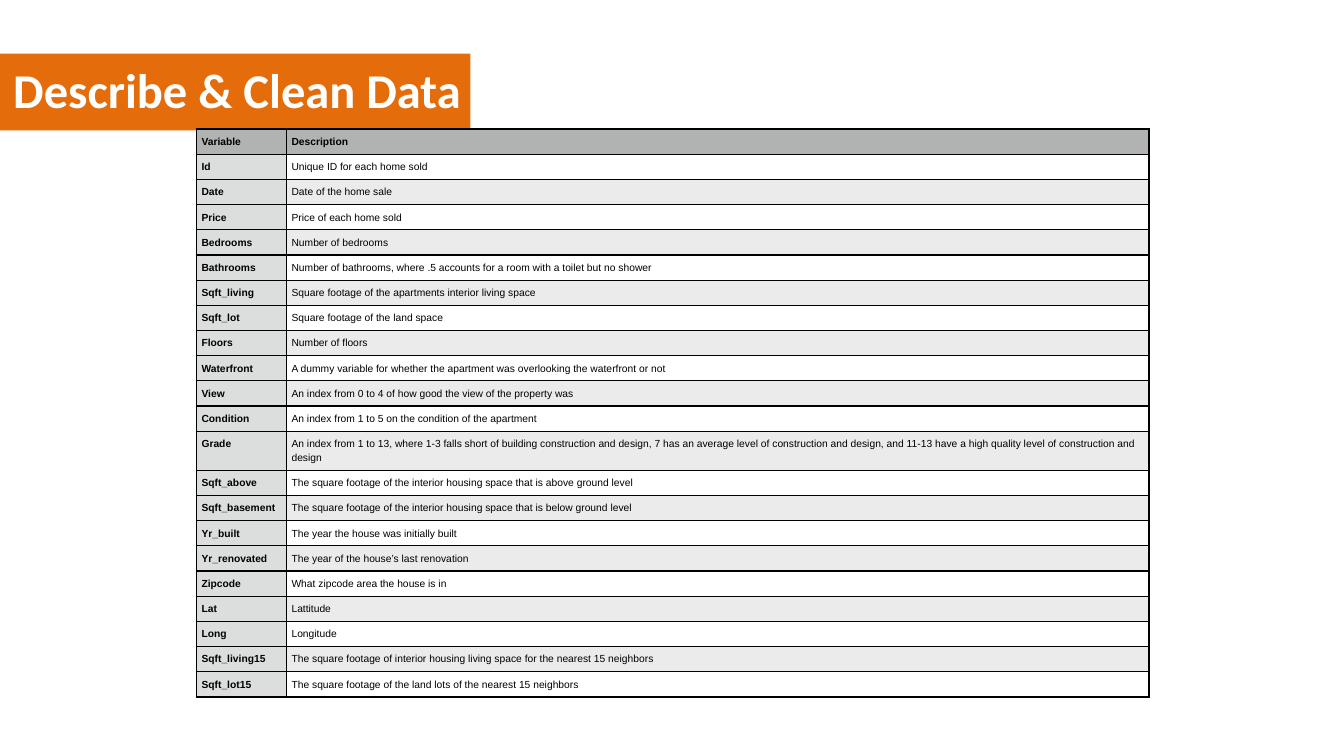
"""Build the slide that describes the variables of the housing data."""
import pptx
import pptx.dml.color
import pptx.enum.shapes
import pptx.enum.text
import pptx.oxml
import pptx.oxml.ns
import pptx.util

Inches, Pt = pptx.util.Inches, pptx.util.Pt

TITLE = "Describe & Clean Data"
ROWS = [
    ("Variable", "Description"),
    ("Id", "Unique ID for each home sold"),
    ("Date", "Date of the home sale"),
    ("Price", "Price of each home sold"),
    ("Bedrooms", "Number of bedrooms"),
    ("Bathrooms", "Number of bathrooms, where .5 accounts for a room with a toilet but no shower"),
    ("Sqft_living", "Square footage of the apartments interior living space"),
    ("Sqft_lot", "Square footage of the land space"),
    ("Floors", "Number of floors"),
    ("Waterfront", "A dummy variable for whether the apartment was overlooking the waterfront or not"),
    ("View", "An index from 0 to 4 of how good the view of the property was"),
    ("Condition", "An index from 1 to 5 on the condition of the apartment"),
    ("Grade", "An index from 1 to 13, where 1-3 falls short of building construction and design, "
              "7 has an average level of construction and design, and 11-13 have a high quality "
              "level of construction and design"),
    ("Sqft_above", "The square footage of the interior housing space that is above ground level"),
    ("Sqft_basement", "The square footage of the interior housing space that is below ground level"),
    ("Yr_built", "The year the house was initially built"),
    ("Yr_renovated", "The year of the house’s last renovation"),
    ("Zipcode", "What zipcode area the house is in"),
    ("Lat", "Lattitude"),
    ("Long", "Longitude"),
    ("Sqft_living15", "The square footage of interior housing living space for the nearest 15 neighbors"),
    ("Sqft_lot15", "The square footage of the land lots of the nearest 15 neighbors"),
]
COLUMNS = (0.67, 6.42)
LEFT, TOP, HEIGHT = 1.46, 0.96, 4.22
TALL_ROW, TALL_HEIGHT = "Grade", 0.28
ROW_HEIGHT = (HEIGHT - TALL_HEIGHT) / (len(ROWS) - 1)
HEADER, NAME, BAND, PLAIN = "B0B3B2", "DCDEDD", "EBEBEB", "FFFFFF"


def rgb(value):
    return pptx.dml.color.RGBColor.from_string(value)


def style(run, font, size, color, bold):
    run.font.name, run.font.size, run.font.bold = font, Pt(size), bold
    run.font.color.rgb = rgb(color)


def add_borders(cell, color="000000", width=0.75):
    for side in ("lnL", "lnR", "lnT", "lnB"):
        cell._tc.get_or_add_tcPr().append(pptx.oxml.parse_xml(
            f'<a:{side} {pptx.oxml.ns.nsdecls("a")} w="{Pt(width)}">'
            f'<a:solidFill><a:srgbClr val="{color}"/></a:solidFill></a:{side}>'))


def fill_cell(cell, row, column):
    if row == 0:
        color = HEADER
    elif column == 0:
        color = NAME
    else:
        color = PLAIN if row % 2 else BAND
    if color == PLAIN:
        cell.fill.background()
    else:
        cell.fill.solid()
        cell.fill.fore_color.rgb = rgb(color)


def add_title(s):
    bar = s.shapes.add_shape(pptx.enum.shapes.MSO_SHAPE.RECTANGLE,
                             0, Inches(0.4), Inches(3.5), Inches(0.57))
    bar.shadow.inherit = False
    bar.fill.solid()
    bar.fill.fore_color.rgb = rgb("E46C0A")
    bar.line.fill.background()
    tf = s.shapes.add_textbox(0, Inches(0.4), Inches(4.88), Inches(0.57)).text_frame
    tf.word_wrap = True
    tf.vertical_anchor = pptx.enum.text.MSO_ANCHOR.TOP
    tf.text = TITLE
    style(tf.paragraphs[0].runs[0], "Calibri", 26, "FFFFFF", True)


def add_variables(s):
    table = s.shapes.add_table(len(ROWS), len(COLUMNS), Inches(LEFT), Inches(TOP),
                               Inches(sum(COLUMNS)), Inches(HEIGHT)).table
    table.horz_banding = table.first_row = False
    for column, width in zip(table.columns, COLUMNS):
        column.width = Inches(width)
    for i, texts in enumerate(ROWS):
        table.rows[i].height = Inches(TALL_HEIGHT if texts[0] == TALL_ROW else ROW_HEIGHT)
        for j, text in enumerate(texts):
            cell = table.cell(i, j)
            cell.margin_left = cell.margin_right = Inches(0.04)
            cell.margin_top = cell.margin_bottom = Inches(0.04)
            add_borders(cell)
            fill_cell(cell, i, j)
            p = cell.text_frame.paragraphs[0]
            p.text = text
            p.line_spacing = 1.15
            style(p.runs[0], "Arial", 5.5, "000000", i == 0 or j == 0)


def main():
    prs = pptx.Presentation()
    prs.slide_width = Inches(10)
    prs.slide_height = prs.slide_width * 9 // 16
    s = prs.slides.add_slide(prs.slide_layouts[6])
    add_title(s)
    add_variables(s)
    prs.save("out.pptx")


if __name__ == "__main__":
    main()
